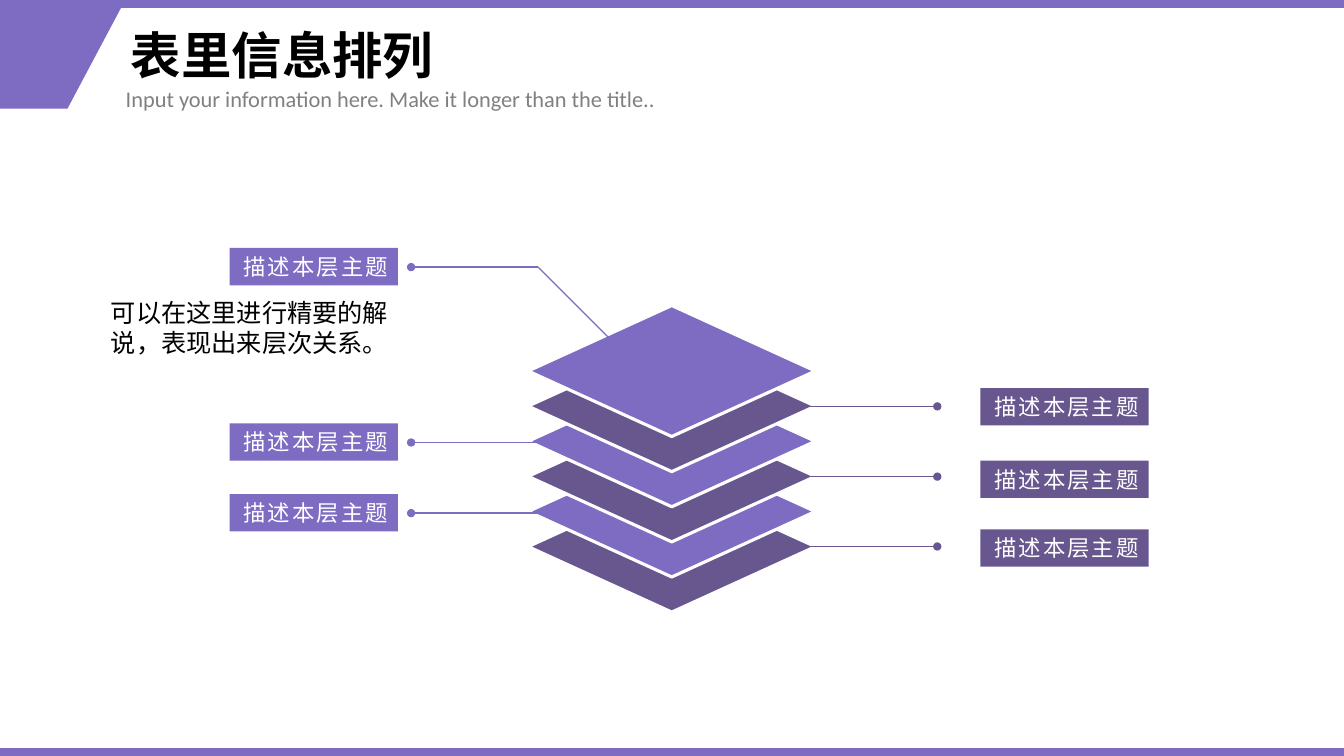
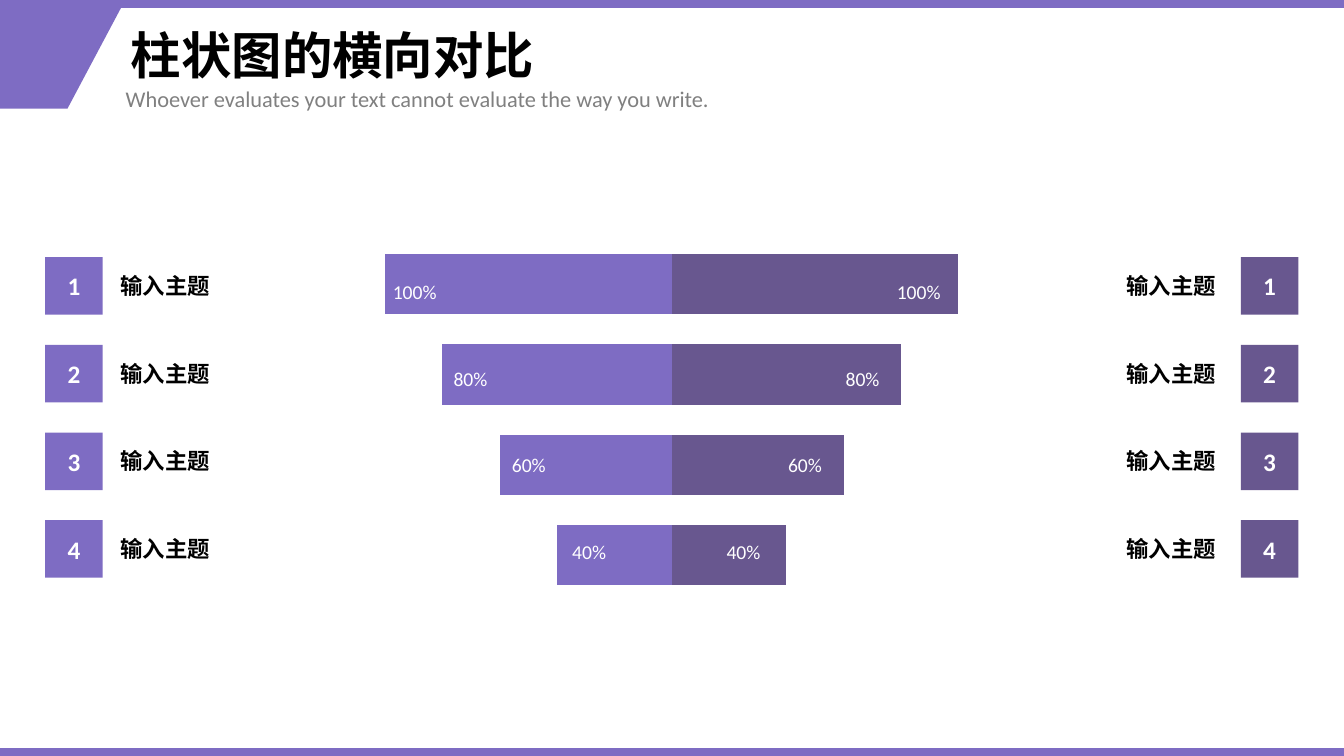
from lxml import etree
from pptx import Presentation
from pptx import util as u
from pptx.chart import data as chart_data
from pptx.dml import color
from pptx.enum import chart as charts, shapes, text
from pptx.oxml import ns

# Shared look
WIDTH, HEIGHT, BAND = 33.87, 19.05, 0.2
LIGHT, DARK, WHITE, BLACK, GREY = "7E6CC3", "68578F", "FFFFFF", "000000", "808080"
LATIN, CJK = "Calibri", "Noto Sans CJK SC"
LEFT, CENTER, RIGHT = text.PP_ALIGN.LEFT, text.PP_ALIGN.CENTER, text.PP_ALIGN.RIGHT
TOP, MIDDLE = text.MSO_ANCHOR.TOP, text.MSO_ANCHOR.MIDDLE

TITLE = {"size": u.Pt(36), "bold": True, "name": CJK}
SUBTITLE = {"size": u.Pt(16), "name": LATIN}
TAG = {"size": u.Pt(16), "name": CJK}
BODY = {"size": u.Pt(18), "name": CJK}
NUMBER = {"size": u.Pt(18), "bold": True, "name": LATIN}
LABEL = {"size": u.Pt(16), "bold": True, "name": LATIN}
PERCENT = {"size": u.Pt(14), "name": LATIN}


def rgb(value):
    return color.RGBColor.from_string(value)


def write(shape, words, style, ink, align=LEFT, anchor=TOP, wrap=True, tracking=0):
    frame = shape.text_frame
    frame.word_wrap = wrap
    frame.vertical_anchor = anchor
    para = frame.paragraphs[0]
    para.alignment = align
    span = para.add_run()
    span.text = words
    for name, value in style.items():
        setattr(span.font, name, value)
    span.font.color.rgb = rgb(ink)
    props = span._r.get_or_add_rPr()
    etree.SubElement(props, ns.qn("a:ea")).set("typeface", CJK)
    if tracking:
        props.set("spc", str(tracking))
    return para


def add_text(page, place, words, style, ink=BLACK, **layout):
    box = page.shapes.add_textbox(*map(u.Cm, place))
    return write(box, words, style, ink, **layout)


def paint(shape, fill, outline=None):
    shape.shadow.inherit = False
    shape.fill.solid()
    shape.fill.fore_color.rgb = rgb(fill)
    if outline:
        shape.line.color.rgb = rgb(outline)
        shape.line.width = u.Pt(2.25)
    else:
        shape.line.fill.background()


def add_block(page, place, fill, kind=shapes.MSO_SHAPE.RECTANGLE, outline=None):
    block = page.shapes.add_shape(kind, *map(u.Cm, place))
    paint(block, fill, outline)
    return block


def add_line(page, start, end, ink, dot=True):
    line = page.shapes.add_connector(
        shapes.MSO_CONNECTOR.STRAIGHT, *map(u.Cm, (*start, *end)))
    line.line.color.rgb = rgb(ink)
    line.line.width = u.Pt(1)
    props = line._element.spPr
    if dot:
        tail = etree.SubElement(props.find(ns.qn("a:ln")), ns.qn("a:tailEnd"))
        tail.set("type", "oval")
    etree.SubElement(props, ns.qn("a:effectLst"))


def add_tag(page, left, top, fill):
    tag = add_block(page, (left, top, 4.24, 0.94), fill)
    write(tag, "描述本层主题", TAG, WHITE, align=RIGHT, wrap=False, tracking=150)


def add_page(deck, title, subtitle):
    page = deck.slides.add_slide(deck.slide_layouts[6])
    # Corner tab and bands
    corners = [(0, BAND), (3.05, BAND), (1.7, 2.74), (0, 2.74)]
    points = [(u.Cm(x), u.Cm(y)) for x, y in corners]
    outline = page.shapes.build_freeform(*points[0])
    outline.add_line_segments(points[1:], close=True)
    paint(outline.convert_to_shape(), LIGHT)
    for top in (0, HEIGHT - BAND):
        add_block(page, (0, top, WIDTH, BAND), LIGHT)
    # Headings
    para = add_text(page, (3.05, 0.2, 28.5, 2.54), title, TITLE, anchor=MIDDLE)
    para.line_spacing = 0.9
    add_text(page, (2.92, 2.03, 19.81, 0.94), subtitle, SUBTITLE, GREY)
    return page


def add_layers(page):
    # Stack, bottom layer first
    for layer in reversed(range(6)):
        add_block(page, (13.31, 7.7 + 0.885 * layer, 7.24, 3.3),
                  DARK if layer % 2 else LIGHT,
                  shapes.MSO_SHAPE.FLOWCHART_DECISION, WHITE)
    # Left callouts
    add_line(page, (13.56, 6.73), (16.1, 9.27), LIGHT, dot=False)
    for y in (6.73, 11.15, 12.93):
        add_line(page, (13.56, y), (10.36, y), LIGHT)
        add_tag(page, 5.79, y - 0.48, LIGHT)
    add_text(page, (1.98, 7.37, 8.05, 1.8),
             "可以在这里进行精要的解说，表现出来层次关系。", BODY, align=RIGHT)
    # Right callouts
    for y, tag_top in ((10.24, 9.78), (12.01, 11.61), (13.77, 13.34)):
        add_line(page, (20.42, y), (23.62, y), DARK)
        add_tag(page, 24.71, tag_top, DARK)


def add_bars(page):
    values = [40, 60, 80, 100]
    data = chart_data.CategoryChartData()
    data.categories = ["1", "2", "3", "4"]
    data.add_series("Series 1", values)
    data.add_series("Series 2", [-value for value in values])
    place = map(u.Cm, (5.64, 5.84, 22.58, 9.47))
    chart = page.shapes.add_chart(
        charts.XL_CHART_TYPE.BAR_CLUSTERED, *place, data).chart
    chart.has_legend = chart.has_title = False
    for name, value in {"size": u.Pt(10), "name": LATIN}.items():
        setattr(chart.font, name, value)
    chart.font.color.rgb = rgb(BLACK)
    for axis in (chart.category_axis, chart.value_axis):
        axis.visible = axis.has_major_gridlines = False
    chart.value_axis.minimum_scale, chart.value_axis.maximum_scale = -150, 150
    plot = chart.plots[0]
    for name, value in {"gap_width": 50, "overlap": 100,
                        "vary_by_categories": False}.items():
        setattr(plot, name, value)
    for series, fill in zip(plot.series, (DARK, LIGHT)):
        series.invert_if_negative = False
        series.format.fill.solid()
        series.format.fill.fore_color.rgb = rgb(fill)


def add_comparison(page):
    add_bars(page)
    # Numbered topics and bar values on each side
    sides = ((LIGHT, 1.14, 2.79, (9.65, 11.18, 12.65, 14.17)),
             (DARK, 31.27, 28.14, (22.35, 21.06, 19.61, 18.06)))
    for fill, square_left, label_left, percent_lefts in sides:
        for row, percent_left in enumerate(percent_lefts):
            top = 6.48 + 2.21 * row
            square = add_block(page, (square_left, top, 1.45, 1.45), fill)
            write(square, str(row + 1), NUMBER, WHITE, align=CENTER, anchor=MIDDLE)
            add_text(page, (label_left, top + 0.25, 2.79, 0.94),
                     "输入主题", LABEL, wrap=False)
            add_text(page, (percent_left, 6.93 + 2.18 * row, 1.57 if row else 1.83, 0.86),
                     f"{100 - 20 * row}%", PERCENT, WHITE, wrap=False)


def main():
    deck = Presentation()
    deck.slide_width, deck.slide_height = u.Cm(WIDTH), u.Cm(HEIGHT)
    add_layers(add_page(
        deck, "表里信息排列",
        "Input your information here. Make it longer than the title.."))
    add_comparison(add_page(
        deck, "柱状图的横向对比",
        "Whoever evaluates your text cannot evaluate the way you write."))
    deck.save("out.pptx")


if __name__ == "__main__":
    main()
